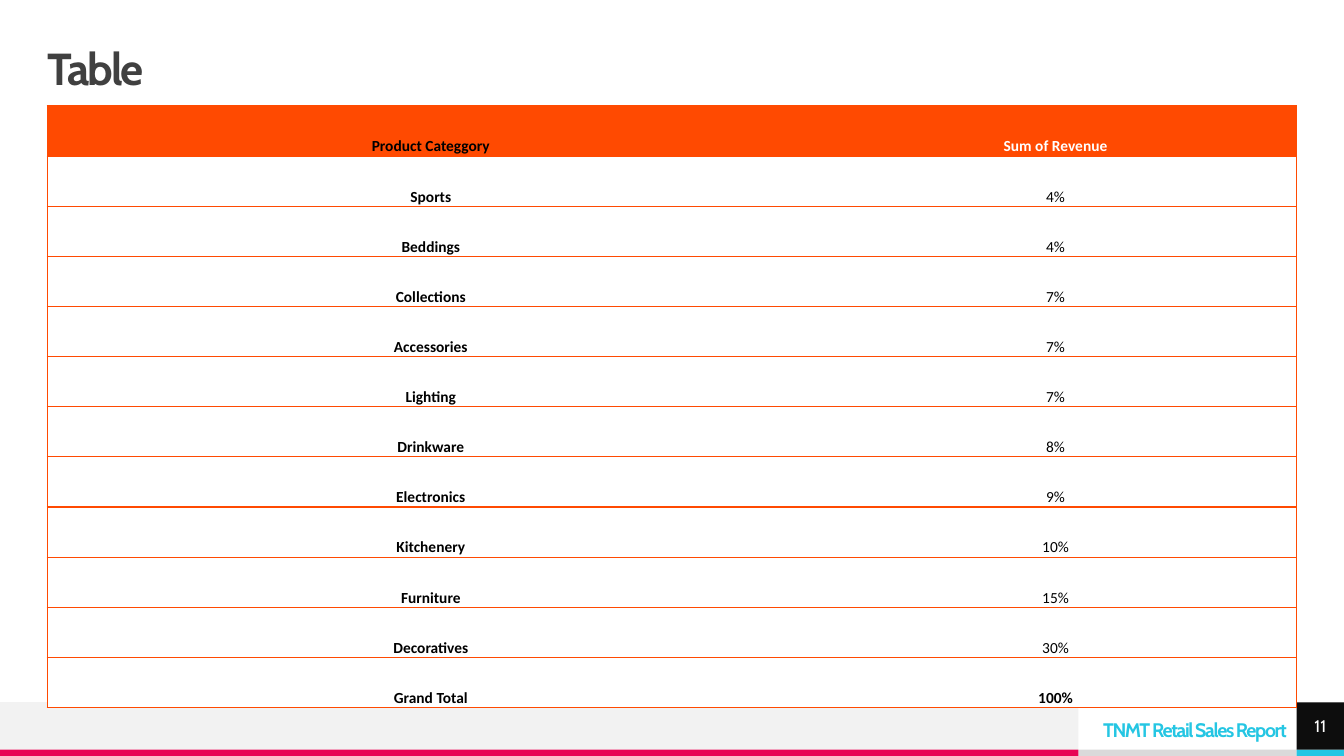
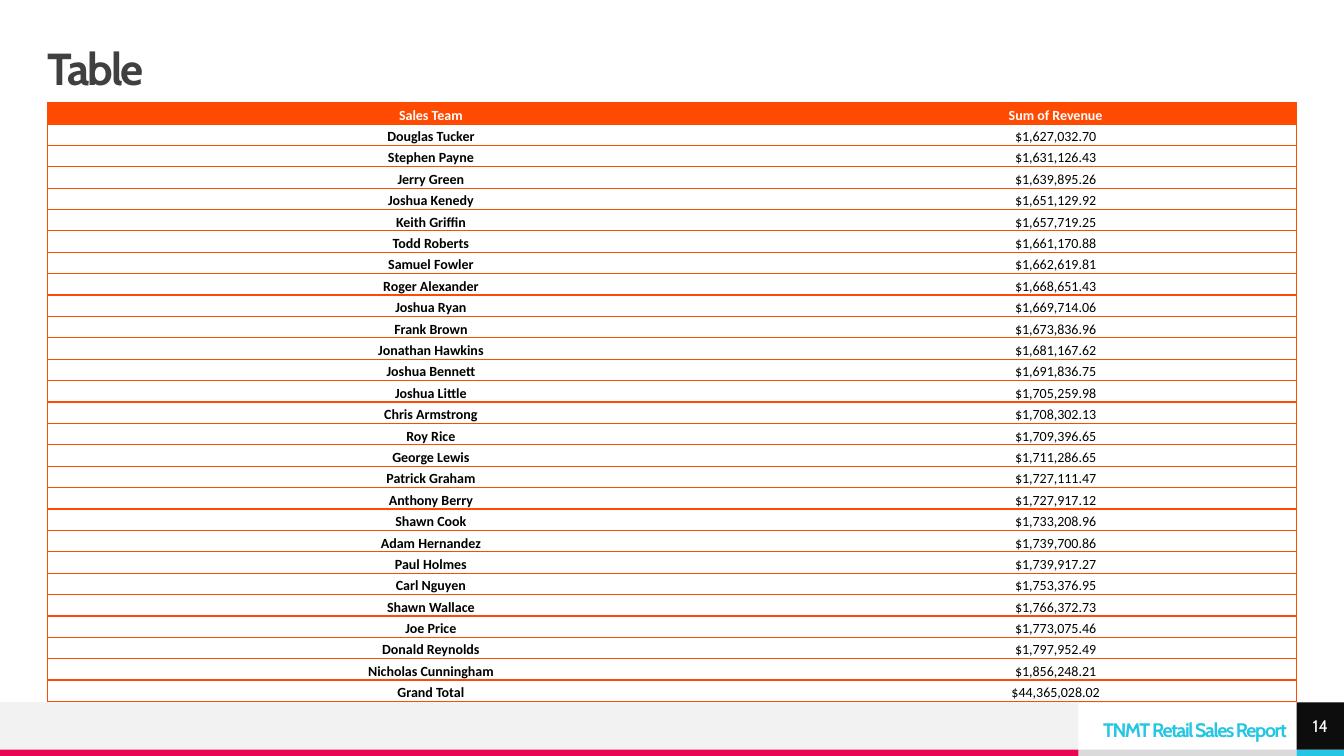
from dataclasses import dataclass

from lxml import etree
from pptx import Presentation
from pptx import util as u
from pptx.dml.color import RGBColor
from pptx.enum import shapes, text
from pptx.oxml.ns import qn

Pt = u.Pt

# Content
REPORT = "TNMT Retail Sales Report"
CATEGORIES = [
    ("Product Categgory", "Sum of Revenue"),
    ("Sports", "4%"),
    ("Beddings", "4%"),
    ("Collections", "7%"),
    ("Accessories", "7%"),
    ("Lighting", "7%"),
    ("Drinkware", "8%"),
    ("Electronics", "9%"),
    ("Kitchenery", "10%"),
    ("Furniture", "15%"),
    ("Decoratives", "30%"),
    ("Grand Total", "100%"),
]
SALES_TEAM = [
    ("Sales Team", "Sum of Revenue"),
    ("Douglas Tucker", "$1,627,032.70"),
    ("Stephen Payne", "$1,631,126.43"),
    ("Jerry Green", "$1,639,895.26"),
    ("Joshua Kenedy", "$1,651,129.92"),
    ("Keith Griffin", "$1,657,719.25"),
    ("Todd Roberts", "$1,661,170.88"),
    ("Samuel Fowler", "$1,662,619.81"),
    ("Roger Alexander", "$1,668,651.43"),
    ("Joshua Ryan", "$1,669,714.06"),
    ("Frank Brown", "$1,673,836.96"),
    ("Jonathan Hawkins", "$1,681,167.62"),
    ("Joshua Bennett", "$1,691,836.75"),
    ("Joshua Little", "$1,705,259.98"),
    ("Chris Armstrong", "$1,708,302.13"),
    ("Roy Rice", "$1,709,396.65"),
    ("George Lewis", "$1,711,286.65"),
    ("Patrick Graham", "$1,727,111.47"),
    ("Anthony Berry", "$1,727,917.12"),
    ("Shawn Cook", "$1,733,208.96"),
    ("Adam Hernandez", "$1,739,700.86"),
    ("Paul Holmes", "$1,739,917.27"),
    ("Carl Nguyen", "$1,753,376.95"),
    ("Shawn Wallace", "$1,766,372.73"),
    ("Joe Price", "$1,773,075.46"),
    ("Donald Reynolds", "$1,797,952.49"),
    ("Nicholas Cunningham", "$1,856,248.21"),
    ("Grand Total", "$44,365,028.02"),
]
SLIDES = [
    dict(title="Table", number="11", rows=CATEGORIES, top=75.75, row_height=35.82,
         size=11, label_head="000000", bold_total=True),
    dict(title="Table", number="14", rows=SALES_TEAM, top=73.25, row_height=15.3,
         size=10, label_head="FFFFFF", bold_total=False),
]


@dataclass(frozen=True)
class Theme:
    heading_font: str = "Cabin"
    table_font: str = "Calibri"
    title_size: int = 32
    report_size: int = 14
    number_size: int = 12
    title: str = "404040"
    white: str = "FFFFFF"
    black: str = "000000"
    orange: str = "FF4A01"
    cyan: str = "25C6E3"
    pink: str = "E80554"
    pale: str = "F2F2F2"
    grey: str = "DADADA"
    number_fill: str = "0D0D0D"


THEME = Theme()

# Layout grid, in points
WIDTH, HEIGHT = 960, 540
MARGIN = 33.75
STRIP = 4.5
RIGHT = WIDTH - MARGIN
STRIP_TOP = HEIGHT - STRIP
BAND_TOP = STRIP_TOP - MARGIN
REPORT_LEFT = 770.25
LABEL_WIDTH = 548
NO_STYLE = "{2D5ABB26-0587-4C30-8999-92F81FD0307C}"


def points(*values):
    return [Pt(value) for value in values]


def set_insets(frame, left=0, top=0, right=0, bottom=0):
    frame.margin_left, frame.margin_top, frame.margin_right, frame.margin_bottom = points(
        left, top, right, bottom)


def style(para, font, size, color, bold=False, spacing=0):
    for span in para.runs:
        span.font.name, span.font.size, span.font.bold = font, Pt(size), bold
        span.font.color.rgb = RGBColor.from_string(color)
        if spacing:
            span.font._element.set("spc", str(int(spacing * 100)))


def add_block(page, left, top, width, height, fill):
    block = page.shapes.add_shape(shapes.MSO_SHAPE.RECTANGLE, *points(left, top, width, height))
    block.shadow.inherit = False
    block.fill.solid()
    block.fill.fore_color.rgb = RGBColor.from_string(fill)
    block.line.fill.background()
    return block


def build_footer(page):
    """Draw the footer shared by all slides and return its parts."""
    parts = [
        add_block(page, left, top, width, height, fill)
        for left, top, width, height, fill in (
            (REPORT_LEFT, STRIP_TOP, RIGHT - REPORT_LEFT, STRIP, THEME.grey),
            (0, BAND_TOP, REPORT_LEFT, MARGIN, THEME.pale),
            (0, STRIP_TOP, REPORT_LEFT, STRIP, THEME.pink),
            (RIGHT, STRIP_TOP, MARGIN, STRIP, THEME.cyan),
        )
    ]
    box = page.shapes.add_textbox(*points(REPORT_LEFT, 510.5, RIGHT - REPORT_LEFT, 20))
    frame = box.text_frame
    frame.word_wrap = True
    frame.vertical_anchor = text.MSO_ANCHOR.MIDDLE
    set_insets(frame, 7.2, 8.64, 7.2, 0)
    frame.text = REPORT
    para = frame.paragraphs[0]
    para.alignment = text.PP_ALIGN.RIGHT
    para.line_spacing = Pt(10)
    style(para, THEME.heading_font, THEME.report_size, THEME.cyan, True, -1)

    rule = page.shapes.add_connector(
        shapes.MSO_CONNECTOR.STRAIGHT, *points(WIDTH, BAND_TOP, 0, BAND_TOP))
    rule.line.width = Pt(0.5)
    rule.line.color.rgb = RGBColor.from_string(THEME.pale)
    etree.SubElement(rule.element.spPr, qn("a:effectLst"))
    return parts + [box, rule]


def share_footer(page, layout):
    """Move the footer to the layout, in place of its small placeholders."""
    for holder in list(layout.placeholders):
        if holder.placeholder_format.type != shapes.PP_PLACEHOLDER.TITLE:
            holder.element.getparent().remove(holder.element)
    for number, part in enumerate(build_footer(page), start=20):
        part.element.xpath(".//p:cNvPr")[0].set("id", str(number))
        layout.shapes.element.append(part.element)


def set_title(page, title):
    holder = page.shapes.title
    holder.left, holder.top, holder.width, holder.height = points(
        MARGIN, MARGIN, RIGHT - MARGIN, MARGIN)
    frame = holder.text_frame
    frame.text = title
    frame.word_wrap = True
    frame.auto_size = text.MSO_AUTO_SIZE.NONE
    frame.vertical_anchor = text.MSO_ANCHOR.MIDDLE
    set_insets(frame)
    para = frame.paragraphs[0]
    para.alignment = text.PP_ALIGN.LEFT
    para.line_spacing = 0.9
    style(para, THEME.heading_font, THEME.title_size, THEME.title, True, -1.5)


def add_number(page, number):
    frame = add_block(page, RIGHT, BAND_TOP, MARGIN, MARGIN, THEME.number_fill).text_frame
    frame.text = number
    frame.vertical_anchor = text.MSO_ANCHOR.MIDDLE
    set_insets(frame)
    para = frame.paragraphs[0]
    para.alignment = text.PP_ALIGN.CENTER
    style(para, THEME.heading_font, THEME.number_size, THEME.white)


def set_borders(cell, sides):
    """Give the sides of a cell, in L R T B order, a one-point line."""
    properties = cell._tc.get_or_add_tcPr()
    for index, side in enumerate(sides):
        line = etree.Element(qn("a:ln" + side), w=str(Pt(1)))
        fill = etree.SubElement(line, qn("a:solidFill"))
        etree.SubElement(fill, qn("a:srgbClr"), val=THEME.orange)
        properties.insert(index, line)


def add_revenue_table(page, rows, top, row_height, size, label_head, bold_total):
    frame = page.shapes.add_table(
        len(rows), 2, *points(MARGIN, top, RIGHT - MARGIN, row_height * len(rows)))
    table = frame.table
    table.first_row = table.horz_banding = False
    frame.element.xpath(".//a:tableStyleId")[0].text = NO_STYLE
    for column, width in zip(table.columns, (LABEL_WIDTH, RIGHT - MARGIN - LABEL_WIDTH)):
        column.width = Pt(width)

    for row_index, row in enumerate(rows):
        table.rows[row_index].height = Pt(row_height)
        is_head, is_total = row_index == 0, row_index == len(rows) - 1
        for column_index, value in enumerate(row):
            is_label = column_index == 0
            cell = table.cell(row_index, column_index)
            cell.text = value
            cell.vertical_anchor = text.MSO_ANCHOR.BOTTOM
            set_insets(cell, 0.72, 0.72, 0.72, 0)
            cell.fill.solid()
            cell.fill.fore_color.rgb = RGBColor.from_string(
                THEME.orange if is_head else THEME.white)
            set_borders(cell, "LTB" if is_label else "RTB")
            color = THEME.black
            if is_head:
                color = label_head if is_label else THEME.white
            bold = is_label or is_head or (is_total and bold_total)
            para = cell.text_frame.paragraphs[0]
            para.alignment = text.PP_ALIGN.CENTER
            style(para, THEME.table_font, size, color, bold)


def main():
    deck = Presentation()
    deck.slide_width, deck.slide_height = points(WIDTH, HEIGHT)
    layout = deck.slide_layouts.get_by_name("Title Only")
    for index, content in enumerate(SLIDES):
        page = deck.slides.add_slide(layout)
        if index == 0:
            share_footer(page, layout)
        table = dict(content)
        set_title(page, table.pop("title"))
        add_number(page, table.pop("number"))
        add_revenue_table(page, **table)
    deck.save("out.pptx")


if __name__ == "__main__":
    main()
